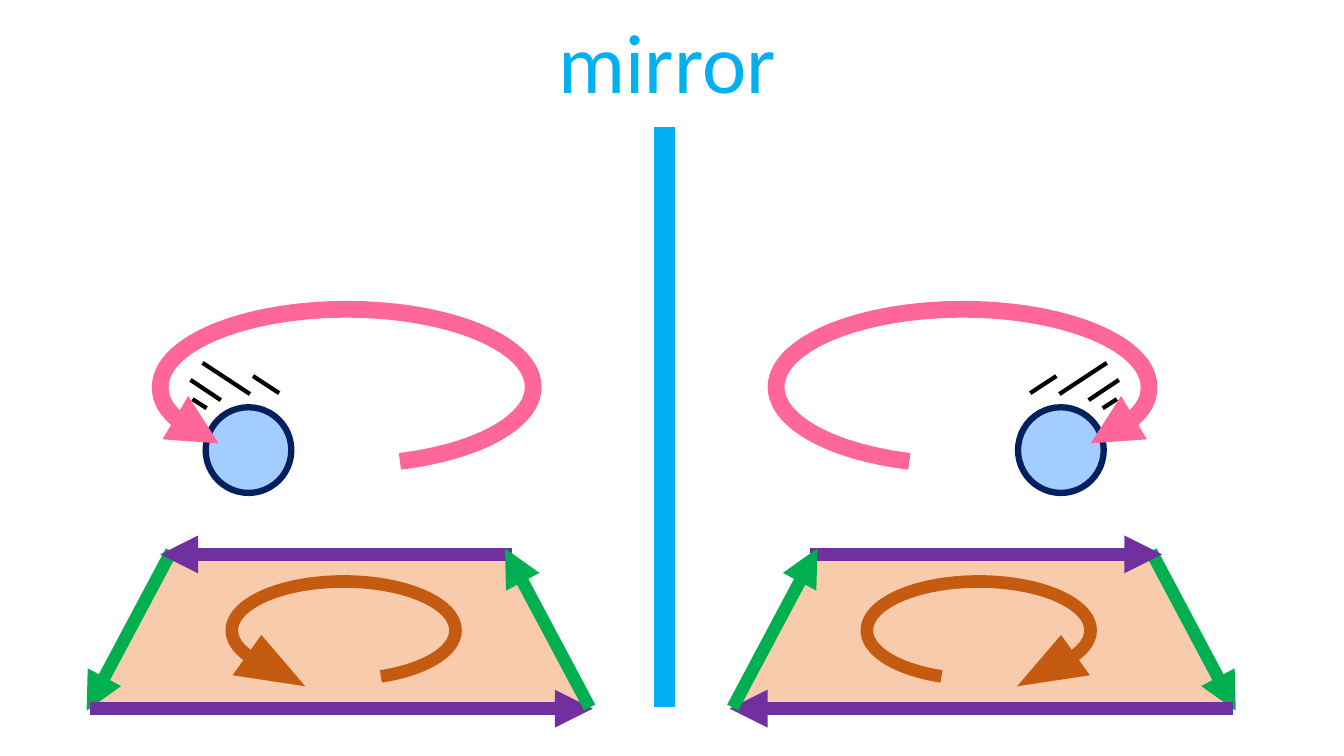
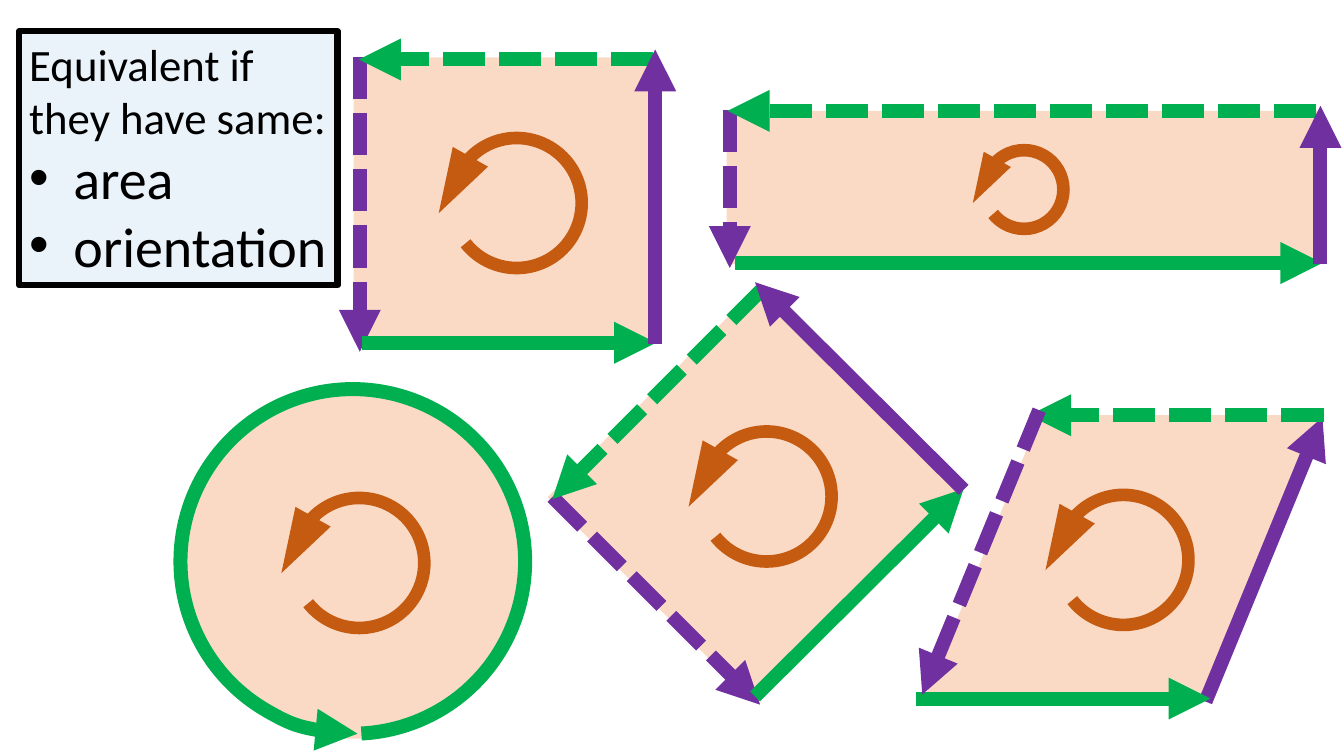
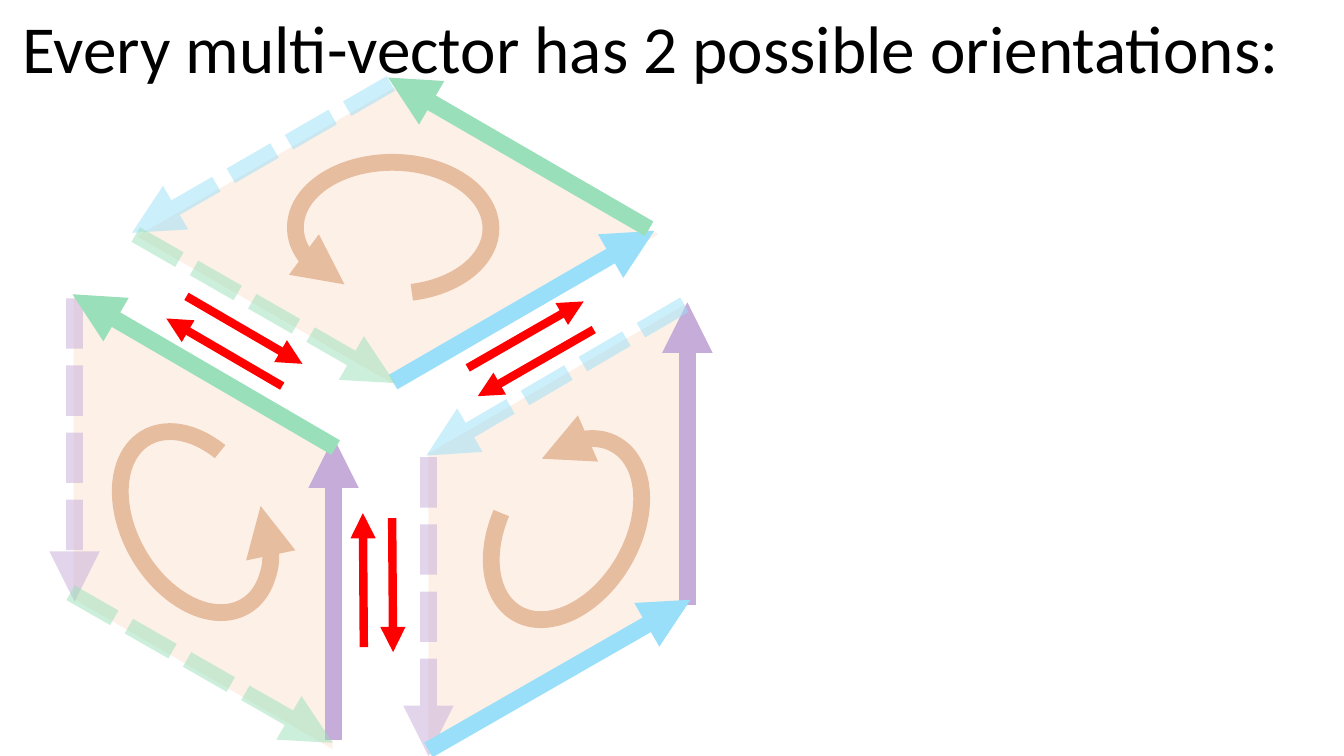
from dataclasses import dataclass

from lxml.etree import SubElement
from pptx import Presentation
from pptx.dml.color import RGBColor
from pptx.enum.dml import MSO_LINE
from pptx.enum.shapes import MSO_CONNECTOR, MSO_SHAPE
from pptx.enum.text import MSO_ANCHOR, MSO_AUTO_SIZE, PP_ALIGN
from pptx.oxml.ns import qn
from pptx.util import Pt


@dataclass(frozen=True)
class Theme:
    font: str = "Calibri"
    ink: str = "000000"
    paper: str = "FFFFFF"
    sky: str = "00B0F0"
    purple: str = "7030A0"
    green: str = "00B050"
    brown: str = "C55A11"
    pink: str = "FF6699"
    red: str = "FF0000"
    navy: str = "002060"
    ball: str = "A3CDFF"
    peach: str = "F8CBAD"
    pale_peach: str = "FADAC5"
    panel: str = "EAF2FA"
    mirror_size: int = 60
    title_size: int = 48
    lead_size: int = 32
    bullet_size: int = 40


theme = Theme()


def add(shapes, kind, box, fill=None, line=None, width=9, dash=False, alpha=100,
        tip=None, turn=0, flip=False, adjust=(), mirror=0):
    a, b, c, d = box
    if kind is None:
        if mirror:
            a, c = mirror - a, mirror - c
        item = shapes.add_connector(MSO_CONNECTOR.STRAIGHT, Pt(a), Pt(b), Pt(c), Pt(d))
    else:
        if mirror:
            a, turn, flip = mirror - a - c, -turn, True
        item = shapes.add_shape(kind, Pt(a), Pt(b), Pt(c), Pt(d))
        item.rotation = turn % 360
        for index, value in enumerate(adjust):
            item.adjustments[index] = value
        if flip:
            item.element.spPr.xfrm.set("flipH", "1")
        if fill:
            item.fill.solid()
            item.fill.fore_color.rgb = RGBColor.from_string(fill)
        else:
            item.fill.background()
    properties = item.element.spPr
    if line:
        item.line.color.rgb = RGBColor.from_string(line)
        item.line.width = Pt(width)
        if dash:
            item.line.dash_style = MSO_LINE.SQUARE_DOT
        outline = properties.find(qn("a:ln"))
        SubElement(outline, qn("a:miter"), lim="800000")
        if tip:
            SubElement(outline, qn(f"a:{tip}"), type="triangle")
    else:
        item.line.fill.background()
    if alpha < 100:
        for color in properties.iter(qn("a:srgbClr")):
            SubElement(color, qn("a:alpha"), val=str(alpha * 1000))
    SubElement(properties, qn("a:effectLst"))


def write(holder, box, entries, color, align=PP_ALIGN.LEFT):
    for name, value in zip(("left", "top", "width", "height"), box):
        setattr(holder, name, Pt(value))
    frame = holder.text_frame
    layout = dict(word_wrap=True, auto_size=MSO_AUTO_SIZE.NONE,
                  vertical_anchor=MSO_ANCHOR.TOP, margin_right=Pt(3))
    for name, value in layout.items():
        setattr(frame, name, value)
    for index, (text, size, bullet) in enumerate(entries):
        paragraph = frame.paragraphs[0] if index == 0 else frame.add_paragraph()
        indent = Pt(31.5) if bullet else 0
        options = paragraph._p.get_or_add_pPr()
        options.set("marL", str(indent))
        options.set("indent", str(-indent))
        if bullet:
            SubElement(options, qn("a:buFont"), typeface="Arial")
            SubElement(options, qn("a:buChar"), char="•")
        else:
            SubElement(options, qn("a:buNone"))
        for name, value in dict(alignment=align, space_before=Pt(0), line_spacing=1.0).items():
            setattr(paragraph, name, value)
        run = paragraph.add_run()
        run.text = text
        for name, value in dict(name=theme.font, size=Pt(size), bold=False).items():
            setattr(run.font, name, value)
        run.font.color.rgb = RGBColor.from_string(color)


deck = Presentation()
deck.slide_width, deck.slide_height = Pt(960), Pt(540)
title_only, title_and_body = deck.slide_layouts[5], deck.slide_layouts[1]

shapes = deck.slides.add_slide(title_only).shapes
write(shapes.title, (387.4, 2.9, 174.2, 80), [("mirror", theme.mirror_size, False)],
      theme.sky, PP_ALIGN.CENTER)
add(shapes, None, (474.5, 90.7, 474.5, 504.7), line=theme.sky, width=15)

base_arrows = [
    ((122.4, 393.8, 61.9, 507.6), theme.green),
    ((64.1, 506.2, 423.4, 506.2), theme.purple),
    ((365.8, 396, 114.5, 396), theme.purple),
    ((421.2, 505.4, 360.7, 391.7), theme.green),
]
motion_marks = [
    (136.1, 271.4, 157.7, 285.8),
    (180.7, 268.6, 199.4, 280.8),
    (137.5, 285.1, 147.6, 291.6),
    (144.7, 259.2, 178.6, 281.5),
]
orbit = (114.5, 221, 266.4, 110.9)
for base_mirror, ball_mirror in ((0, 0), (944.6, 935.3)):
    add(shapes, MSO_SHAPE.TRAPEZOID, (63.4, 395.3, 358.6, 111.6), fill=theme.peach,
        adjust=[0.53], mirror=base_mirror)
    for ends, color in base_arrows:
        add(shapes, None, ends, line=color, tip="tailEnd", mirror=base_mirror)
    add(shapes, MSO_SHAPE.ARC, (165.6, 415.4, 159.8, 69.8), line=theme.brown,
        adjust=[95.82, 30.63], mirror=base_mirror)
    add(shapes, MSO_SHAPE.ISOSCELES_TRIANGLE, (181.4, 463.7, 22.3, 29.5), fill=theme.brown,
        line=theme.brown, turn=125.5, adjust=[0.33], mirror=base_mirror)
    add(shapes, MSO_SHAPE.ARC, orbit, line=theme.pink, width=12,
        adjust=[165.21, 32.66], mirror=ball_mirror)
    add(shapes, MSO_SHAPE.OVAL, (146.9, 290.9, 61.2, 61.2), fill=theme.ball,
        line=theme.navy, width=4.5, mirror=ball_mirror)
    for ends in motion_marks:
        add(shapes, None, ends, line=theme.ink, width=3, mirror=ball_mirror)
    add(shapes, MSO_SHAPE.ARC, orbit, line=theme.pink, width=12, tip="headEnd",
        adjust=[93.73, 170.59], mirror=ball_mirror)

slide = deck.slides.add_slide(title_and_body)
shapes = slide.shapes
unused_title = shapes.title.element
unused_title.getparent().remove(unused_title)
criteria = slide.placeholders[1]
write(criteria, (13.7, 22.3, 227.5, 181.4),
      [("Equivalent if they have same:", theme.lead_size, False),
       ("area", theme.bullet_size, True),
       ("orientation", theme.bullet_size, True)], theme.ink)
criteria.fill.solid()
criteria.fill.fore_color.rgb = RGBColor.from_string(theme.panel)
criteria.line.color.rgb = RGBColor.from_string(theme.ink)
criteria.line.width = Pt(4.5)

sides = {
    "left": dict(line=theme.purple, dash=True),
    "base": dict(line=theme.green),
    "top": dict(line=theme.green, dash=True),
    "right": dict(line=theme.purple),
}
clear_peach = dict(fill=theme.peach, alpha=70, adjust=[0])
areas = [
    ((252.7, 41, 211.7, 203), clear_peach, {
        "left": (257, 41, 257, 251.3),
        "base": (258.5, 244.8, 468.7, 244.8),
        "top": (466.6, 42.5, 256.3, 42.5),
        "right": (468, 245.5, 468, 35.3)}),
    ((519.1, 79.2, 422.6, 109.4), clear_peach, {
        "left": (521.3, 78.5, 521.3, 191.5),
        "base": (524.9, 187.9, 944.6, 187.9),
        "top": (940.3, 79.2, 519.8, 79.2),
        "right": (943.2, 188.6, 943.2, 75.6)}),
    ((432, 250.6, 211.7, 203), dict(clear_peach, turn=315), {
        "left": (394.6, 355, 542.9, 503.3),
        "base": (539.3, 497.5, 688.3, 349.2),
        "top": (543.6, 207.4, 394.6, 356.4),
        "right": (688.3, 349.9, 539.3, 201.6)}),
    ((659.5, 296.6, 286.6, 204.5), dict(fill=theme.pale_peach, adjust=[0.41]), {
        "right": (861.1, 501.1, 944.6, 298.1),
        "base": (654.5, 499, 864.7, 499),
        "top": (945.4, 296.6, 735.1, 296.6),
        "left": (742.3, 293, 658.8, 496.1)}),
]
for box, look, edges in areas:
    add(shapes, MSO_SHAPE.PARALLELOGRAM, box, **look)
    for side, ends in edges.items():
        add(shapes, None, ends, width=10, tip="tailEnd", **sides[side])
add(shapes, MSO_SHAPE.OVAL, (126.7, 278.6, 249.1, 249.1), fill=theme.pale_peach)
add(shapes, MSO_SHAPE.ARC, (128.9, 277.9, 246.2, 246.2), line=theme.green, width=10,
    tip="headEnd", adjust=[53.06, 52.28])

full_spin = 92.9
spins = [
    (322.6, 98.6, full_spin),
    (703.4, 107.3, 56.2),
    (501.1, 308.2, full_spin),
    (210.2, 355.7, full_spin),
    (756, 353.5, full_spin),
]
for left, top, size in spins:
    scale = size / full_spin
    add(shapes, MSO_SHAPE.ARC, (left, top, size, size), line=theme.brown,
        adjust=[129.9, 85.05])
    add(shapes, MSO_SHAPE.ISOSCELES_TRIANGLE,
        (left - 3.6 * scale, top + 15.6 * scale, 16.6 * scale, 26.6 * scale),
        fill=theme.brown, line=theme.brown, turn=209.3)

shapes = deck.slides.add_slide(title_only).shapes
write(shapes.title, (8.6, 0.7, 923, 65.5),
      [("Every multi-vector has 2 possible orientations:", theme.title_size, False)],
      theme.ink)
solid, faded = dict(width=12), dict(width=12, dash=True, alpha=50)
faces = [
    ((236.9, 285.8), 90, True, (334.8, 331.2), 300.6, [
        ((491, 216, 491, 432), theme.purple, solid),
        ((306, 540, 306, 324), theme.purple, faded),
        ((304.6, 325.4, 491.8, 216), theme.sky, faded),
        ((493.2, 428.4, 306, 535.7), theme.sky, solid)]),
    ((-16.6, 280.8), 270, False, (69.8, 326.2), 59.4, [
        ((53.3, 213.1, 53.3, 429.8), theme.purple, faded),
        ((238.3, 528.5, 238.3, 312.5), theme.purple, solid),
        ((239.8, 319.7, 51.8, 210.2), theme.green, solid),
        ((50.4, 423.4, 237.6, 530.6), theme.green, faded)]),
    ((122.4, 75.6), 330, True, (211, 115.9), 180.6, [
        ((94.3, 166.3, 281.5, 58.3), theme.sky, faded),
        ((467.3, 164.9, 280.8, 272.9), theme.sky, solid),
        ((282.2, 273.6, 93.6, 165.6), theme.green, faded),
        ((277.2, 55.4, 463.7, 163.4), theme.green, solid)]),
]
for corner, turn, flip, spin_corner, spin_turn, edges in faces:
    edge_tip, spin_tip = ("headEnd", "tailEnd") if flip else ("tailEnd", "headEnd")
    add(shapes, MSO_SHAPE.PARALLELOGRAM, (*corner, 323.3, 185), fill=theme.pale_peach,
        turn=turn, flip=flip, adjust=[0.58])
    for ends, color, look in edges:
        add(shapes, None, ends, line=color, tip=edge_tip, **look)
    add(shapes, MSO_SHAPE.ARC, (*spin_corner, 139.7, 93.6), line=theme.brown, width=12,
        tip=spin_tip, turn=spin_turn, flip=flip, adjust=[172.04, 137.91])
add(shapes, MSO_SHAPE.RECTANGLE, (-20.9, 33.8, 632.9, 536.4), fill=theme.paper, alpha=60)

heading = shapes.title.element
heading.getparent().append(heading)
opposed_arrows = [
    (334.1, 262.8, 416.9, 215.3),
    (424.1, 235.4, 341.3, 283),
    (201.6, 275.8, 118.8, 227.5),
    (133.2, 211.7, 216, 259.9),
    (259.9, 462.2, 259.2, 366.5),
    (280.1, 370.1, 280.8, 465.8),
]
for ends in opposed_arrows:
    add(shapes, None, ends, line=theme.red, width=6, tip="tailEnd")

deck.save("out.pptx")
